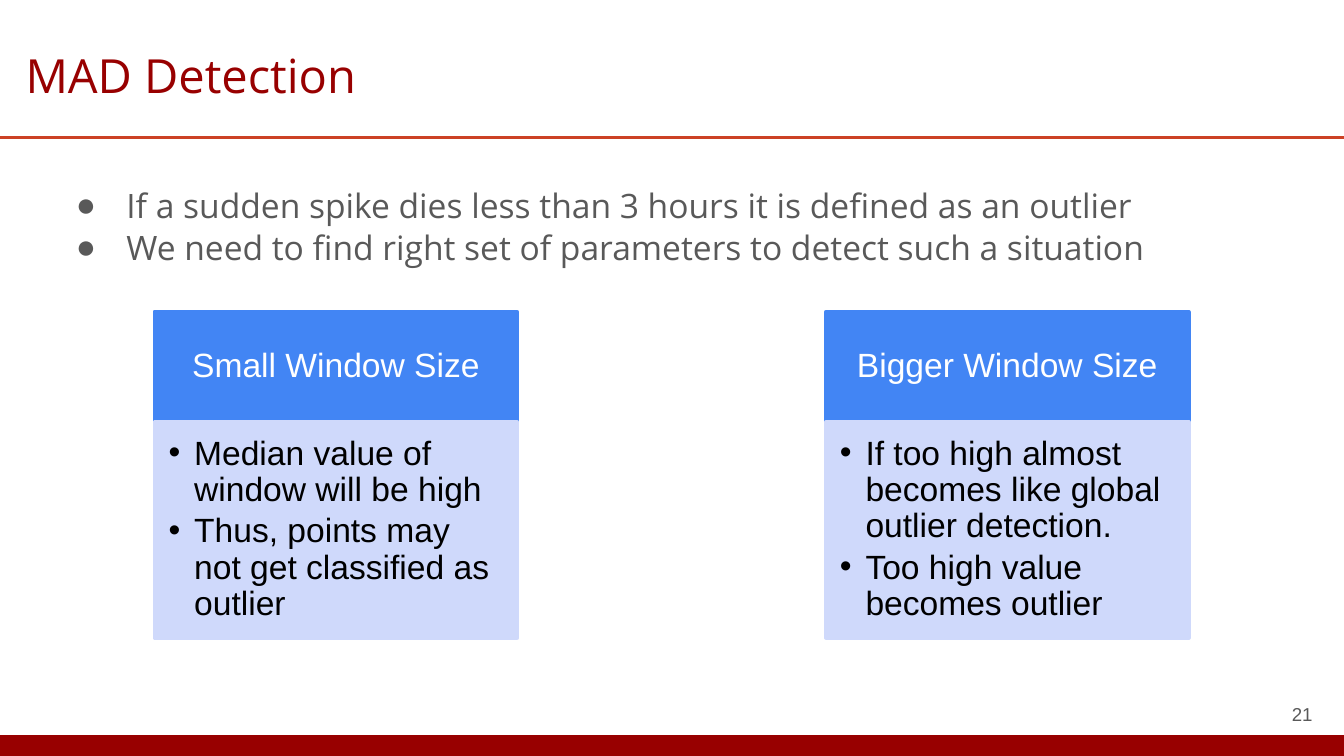
import pptx
import pptx.util
import pptx.dml.color
import pptx.enum.shapes
import pptx.enum.text
import pptx.oxml.ns
import lxml.etree

PX = 4572  # EMU per px, at 200 px to the inch
RGBColor = pptx.dml.color.RGBColor
Pt = pptx.util.Pt
ALIGN = pptx.enum.text.PP_ALIGN
ANCHOR = pptx.enum.text.MSO_ANCHOR
qn = pptx.oxml.ns.qn

DARK_RED = RGBColor(0x98, 0x00, 0x00)
RULE_RED = RGBColor(0xCC, 0x41, 0x25)
GREY = RGBColor(0x59, 0x59, 0x59)
BLUE = RGBColor(0x42, 0x85, 0xF4)
PALE_BLUE = RGBColor(0xCF, 0xD9, 0xFB)
WHITE = RGBColor(0xFF, 0xFF, 0xFF)
BLACK = RGBColor(0x00, 0x00, 0x00)

HEAD_FONT = "Open Sans"
TEXT_FONT = "Arial"

WINDOWS = [
    ("Small Window Size",
     ["Median value of window will be high",
      "Thus, points may not get classified as outlier"]),
    ("Bigger Window Size",
     ["If too high almost becomes like global outlier detection.",
      "Too high value becomes outlier"]),
]


def px(*lengths):
    return [pptx.util.Emu(n * PX) for n in lengths]


def place(sp, box):
    sp.left, sp.top, sp.width, sp.height = px(*box)


def set_bullet(p, char, color, indent):
    pPr = p._p.get_or_add_pPr()
    pPr.set("marL", str(indent[0] * PX))
    pPr.set("indent", str(indent[1] * PX))
    clr = lxml.etree.SubElement(pPr, qn("a:buClr"))
    lxml.etree.SubElement(clr, qn("a:srgbClr"), val=str(color))
    lxml.etree.SubElement(pPr, qn("a:buFont"), typeface="Arial")
    lxml.etree.SubElement(pPr, qn("a:buChar"), char=char)


def write(sp, lines, font, size, color, align=ALIGN.LEFT, anchor=ANCHOR.TOP,
          insets=(20, 20, 20, 20), spacing=1, after=0, bullet=None, indent=(0, 0)):
    tf = sp.text_frame
    tf.word_wrap = True
    tf.auto_size = pptx.enum.text.MSO_AUTO_SIZE.NONE
    tf.vertical_anchor = anchor
    tf.margin_left, tf.margin_top, tf.margin_right, tf.margin_bottom = px(*insets)
    tf.text = "\n".join(lines)
    for p in tf.paragraphs:
        if bullet:
            set_bullet(p, bullet, color, indent)
        p.alignment = align
        p.line_spacing = spacing
        p.space_before = Pt(0)
        p.space_after = Pt(after)
        for r in p.runs:
            r.font.name = font
            r.font.size = Pt(size)
            r.font.color.rgb = color


def add_rect(slide, box, color, line_width):
    sp = slide.shapes.add_shape(pptx.enum.shapes.MSO_SHAPE.RECTANGLE, *px(*box))
    sp.shadow.inherit = False
    sp.fill.solid()
    sp.fill.fore_color.rgb = color
    sp.line.color.rgb = color
    sp.line.width = Pt(line_width)
    return sp


def add_frame(slide, box):
    """Draw the rule under the title, the footer bar and the page number."""
    x, y, w, h = box
    add_rect(slide, (x - 8, y + h - 30, w + 8, 30), DARK_RED, 0.75)
    rule = slide.shapes.add_connector(
        pptx.enum.shapes.MSO_CONNECTOR.STRAIGHT, *px(x, y + 205, x + w, y + 205))
    rule.line.color.rgb = RULE_RED
    rule.line.width = Pt(1.5)
    lxml.etree.SubElement(rule._element.spPr, qn("a:effectLst"))
    number = slide.shapes.add_textbox(*px(x + 1853, y + 1020, 120, 86))
    write(number, ["21"], TEXT_FONT, 10, GREY, ALIGN.RIGHT, ANCHOR.MIDDLE)


def fill_placeholders(slide, box):
    x, y, w, h = box
    title, body = slide.shapes.title, slide.placeholders[1]
    place(title, (x + 18, y + 49, 1864, 126))
    write(title, ["MAD Detection"], HEAD_FONT, 25.2, DARK_RED)
    place(body, (x + 68, y + 252, 1864, 172))
    write(body,
          ["If a sudden spike dies less than 3 hours it is defined as an outlier",
           "We need to find right set of parameters to detect such a situation"],
          HEAD_FONT, 18, GREY, spacing=1.05, bullet="●", indent=(100, -75))


def add_window_card(slide, box, heading, points):
    x, y, w, h = box
    head_h = 164
    head = add_rect(slide, (x, y, w, head_h), BLUE, 2)
    write(head, [heading], TEXT_FONT, 18, WHITE, ALIGN.CENTER, ANCHOR.MIDDLE,
          insets=(28, 16, 28, 16), spacing=0.9)
    body = add_rect(slide, (x, y + head_h, w, h - head_h), PALE_BLUE, 2)
    write(body, points, TEXT_FONT, 18, BLACK, insets=(21, 21, 28, 32),
          spacing=0.9, after=2.7, bullet="•", indent=(38, -38))


def main():
    prs = pptx.Presentation()
    page = (0, 0, 2000, 1125)
    prs.slide_width, prs.slide_height = px(*page[2:])
    slide = prs.slides.add_slide(prs.slide_layouts[1])
    add_frame(slide, page)
    fill_placeholders(slide, page)
    for i, (heading, points) in enumerate(WINDOWS):
        add_window_card(slide, (230 + 999 * i, 464, 540, 485), heading, points)
    prs.save("out.pptx")


if __name__ == "__main__":
    main()
